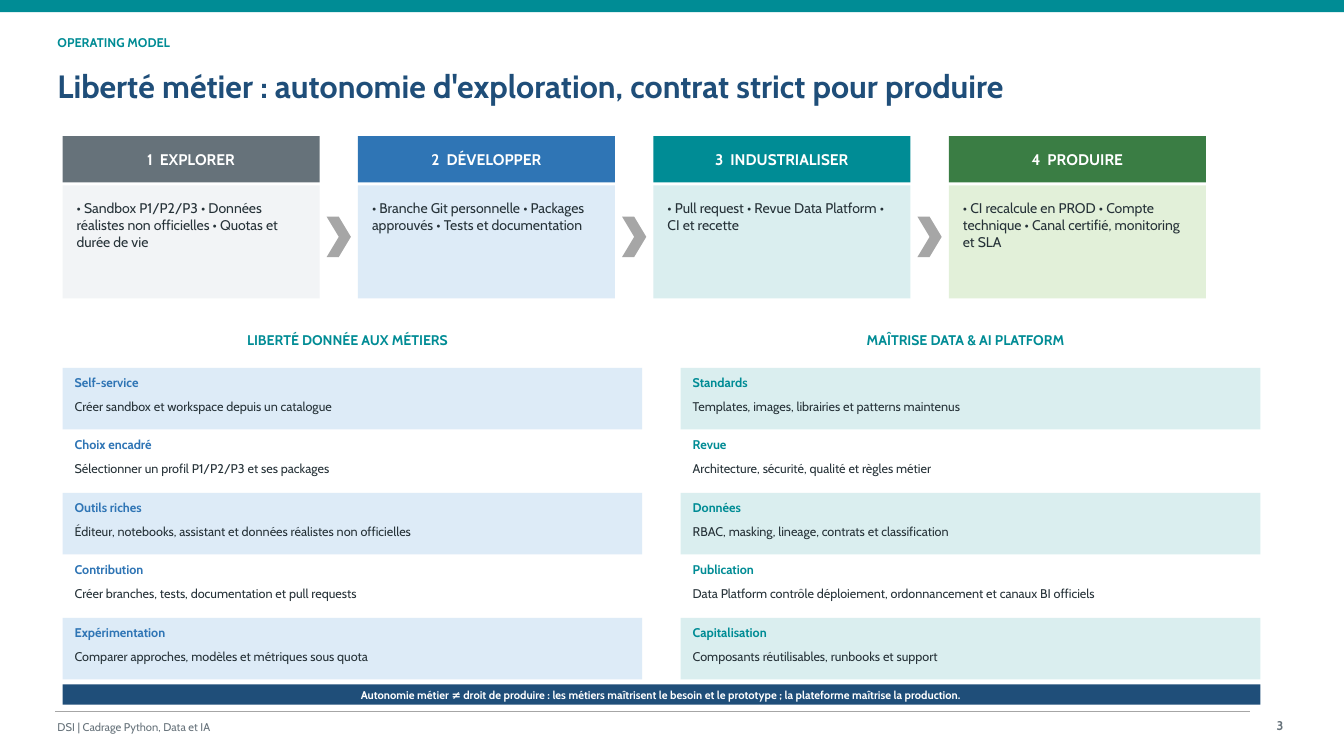
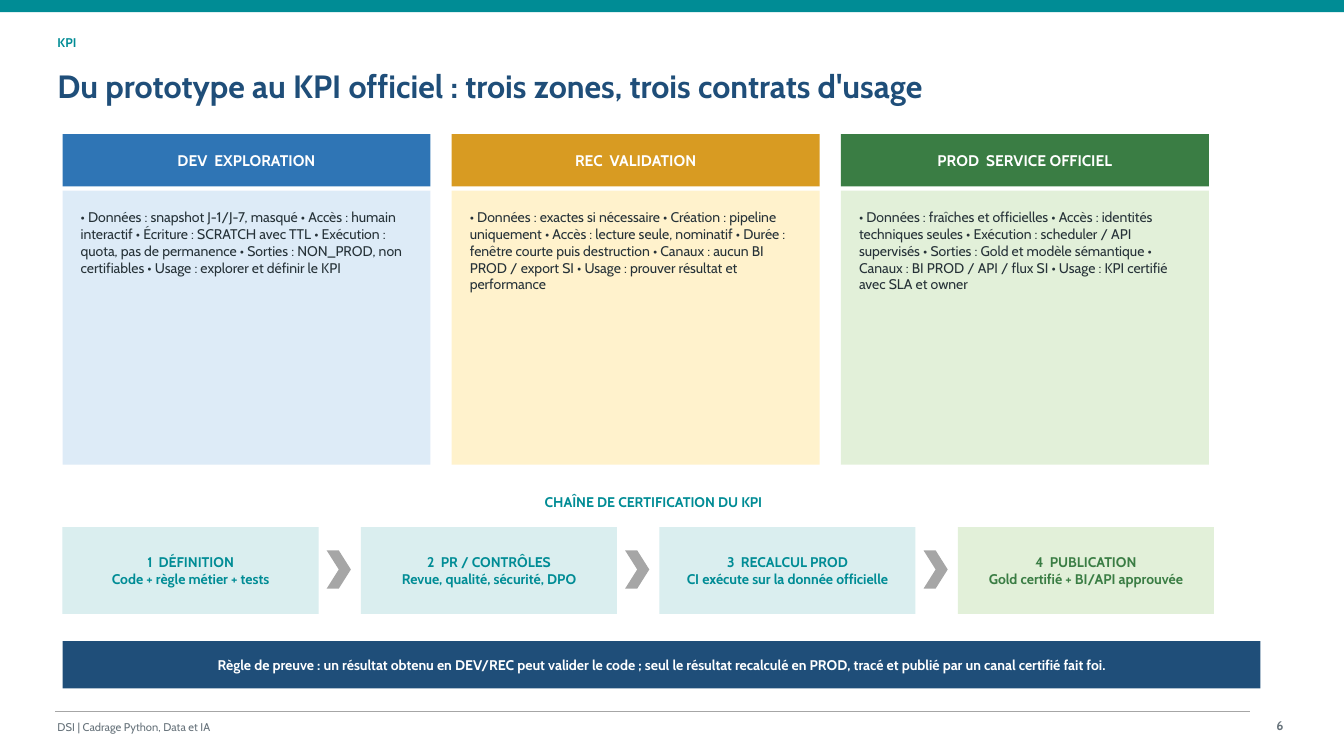
"""Build two slides on the operating model and the KPI certification chain."""
from lxml import etree
from pptx import Presentation
from pptx import util as u
from pptx.dml.color import RGBColor
from pptx.enum import shapes, text
from pptx.oxml.ns import qn

COLORS = {
    "teal": "008C95", "pale_teal": "DAEEEF",
    "blue": "2F75B5", "pale_blue": "DDEBF7",
    "green": "3A7D44", "pale_green": "E2F0D9",
    "amber": "D89B22", "pale_amber": "FFF2CC",
    "gray": "66727A", "pale_gray": "F2F4F6",
    "navy": "1F4E79", "ink": "263238", "line": "A6A6A6", "white": "FFFFFF",
}
FONT = "Cabin"
LEFT = 0.62
FULL_WIDTH = 11.88
RECTANGLE = shapes.MSO_SHAPE.RECTANGLE
CHEVRON = shapes.MSO_SHAPE.CHEVRON
LEFT_ALIGN, CENTER, RIGHT = text.PP_ALIGN.LEFT, text.PP_ALIGN.CENTER, text.PP_ALIGN.RIGHT
TOP, MIDDLE = text.MSO_ANCHOR.TOP, text.MSO_ANCHOR.MIDDLE


def add_box(slide, box, lines=(), size=10, color="ink", fill=None, preset=RECTANGLE,
            bold=False, align=LEFT_ALIGN, anchor=MIDDLE, inset=0.02):
    position = [u.Inches(length) for length in box]
    if fill:
        shape = slide.shapes.add_shape(preset, *position)
        shape.shadow.inherit = False
        shape.fill.solid()
        shape.fill.fore_color.rgb = RGBColor.from_string(COLORS[fill])
        shape.line.fill.background()
    else:
        shape = slide.shapes.add_textbox(*position)
    frame = shape.text_frame
    frame.word_wrap = True
    frame.vertical_anchor = anchor
    frame.margin_left = frame.margin_right = u.Inches(inset)
    frame.margin_top = frame.margin_bottom = u.Inches(inset)
    for index, line in enumerate(lines):
        paragraph = frame.add_paragraph() if index else frame.paragraphs[0]
        paragraph.text = line
        paragraph.alignment = align
        paragraph.font.name = FONT
        paragraph.font.size = u.Pt(size)
        paragraph.font.bold = bold
        paragraph.font.color.rgb = RGBColor.from_string(COLORS[color])


def start_slide(section, title, number):
    slide = presentation.slides.add_slide(presentation.slide_layouts[6])
    add_box(slide, (0, 0, 13.33, 0.12), fill="teal")
    add_box(slide, (0.55, 0.28, 2.2, 0.28), [section], 9, "teal", bold=True)
    add_box(slide, (0.55, 0.57, 12, 0.55), [title], 23, "navy", bold=True)
    rule = slide.shapes.add_connector(
        shapes.MSO_CONNECTOR.STRAIGHT,
        u.Inches(0.55), u.Inches(7.06), u.Inches(12.4), u.Inches(7.06))
    rule.line.color.rgb = RGBColor.from_string(COLORS["line"])
    rule.line.width = u.Pt(1)
    etree.SubElement(rule._element.spPr, qn("a:effectLst"))
    add_box(slide, (0.55, 7.12, 5.5, 0.18), ["DSI | Cadrage Python, Data et IA"], 8, "gray")
    add_box(slide, (12.25, 7.1, 0.5, 0.2), [number], 9, "gray", bold=True, align=RIGHT)
    return slide


presentation = Presentation()
presentation.slide_width = u.Inches(13.33)
presentation.slide_height = u.Inches(7.5)

slide = start_slide(
    "OPERATING MODEL",
    "Liberté métier : autonomie d'exploration, contrat strict pour produire", "3")

stages = [
    ("1  EXPLORER", "gray", "pale_gray",
     "• Sandbox P1/P2/P3 • Données réalistes non officielles • Quotas et durée de vie"),
    ("2  DÉVELOPPER", "blue", "pale_blue",
     "• Branche Git personnelle • Packages approuvés • Tests et documentation"),
    ("3  INDUSTRIALISER", "teal", "pale_teal",
     "• Pull request • Revue Data Platform • CI et recette"),
    ("4  PRODUIRE", "green", "pale_green",
     "• CI recalcule en PROD • Compte technique • Canal certifié, monitoring et SLA"),
]
for index, (heading, accent, tint, body) in enumerate(stages):
    left = LEFT + index * 2.93
    if index:
        add_box(slide, (left - 0.31, 2.15, 0.24, 0.4), fill="line", preset=CHEVRON)
    add_box(slide, (left, 1.35, 2.55, 0.46), [heading], 11, "white", accent,
            bold=True, align=CENTER, inset=0.12)
    add_box(slide, (left, 1.84, 2.55, 1.12), [body], fill=tint, anchor=TOP, inset=0.14)

responsibilities = [
    (LEFT, "LIBERTÉ DONNÉE AUX MÉTIERS", "blue", "pale_blue", [
        ("Self-service", "Créer sandbox et workspace depuis un catalogue"),
        ("Choix encadré", "Sélectionner un profil P1/P2/P3 et ses packages"),
        ("Outils riches", "Éditeur, notebooks, assistant et données réalistes non officielles"),
        ("Contribution", "Créer branches, tests, documentation et pull requests"),
        ("Expérimentation", "Comparer approches, modèles et métriques sous quota"),
    ]),
    (6.75, "MAÎTRISE DATA & AI PLATFORM", "teal", "pale_teal", [
        ("Standards", "Templates, images, librairies et patterns maintenus"),
        ("Revue", "Architecture, sécurité, qualité et règles métier"),
        ("Données", "RBAC, masking, lineage, contrats et classification"),
        ("Publication",
         "Data Platform contrôle déploiement, ordonnancement et canaux BI officiels"),
        ("Capitalisation", "Composants réutilisables, runbooks et support"),
    ]),
]
for left, heading, accent, tint, rows in responsibilities:
    add_box(slide, (left, 3.27, 5.65, 0.25), [heading], 10, "teal",
            bold=True, align=CENTER, anchor=TOP)
    for index, (label, detail) in enumerate(rows):
        top = 3.65 + index * 0.62
        add_box(slide, (left, top, 5.75, 0.61), fill="white" if index % 2 else tint)
        add_box(slide, (left + 0.1, top + 0.05, 5.55, 0.18), [label], 9, accent, bold=True)
        add_box(slide, (left + 0.1, top + 0.24, 5.55, 0.28), [detail], 9)

add_box(slide, (LEFT, 6.79, FULL_WIDTH, 0.2),
        ["Autonomie métier ≠ droit de produire : les métiers maîtrisent le besoin et le "
         "prototype ; la plateforme maîtrise la production."],
        8, "white", "navy", bold=True, align=CENTER, inset=0.12)

slide = start_slide(
    "KPI", "Du prototype au KPI officiel : trois zones, trois contrats d'usage", "6")

zones = [
    ("DEV  EXPLORATION", "blue", "pale_blue",
     "• Données : snapshot J-1/J-7, masqué • Accès : humain interactif • Écriture : SCRATCH "
     "avec TTL • Exécution : quota, pas de permanence • Sorties : NON_PROD, non certifiables "
     "• Usage : explorer et définir le KPI"),
    ("REC  VALIDATION", "amber", "pale_amber",
     "• Données : exactes si nécessaire • Création : pipeline uniquement • Accès : lecture "
     "seule, nominatif • Durée : fenêtre courte puis destruction • Canaux : aucun BI PROD / "
     "export SI • Usage : prouver résultat et performance"),
    ("PROD  SERVICE OFFICIEL", "green", "pale_green",
     "• Données : fraîches et officielles • Accès : identités techniques seules • Exécution : "
     "scheduler / API supervisés • Sorties : Gold et modèle sémantique • Canaux : BI PROD / "
     "API / flux SI • Usage : KPI certifié avec SLA et owner"),
]
for index, (heading, accent, tint, body) in enumerate(zones):
    left = LEFT + index * 3.86
    add_box(slide, (left, 1.33, 3.65, 0.52), [heading], 11, "white", accent,
            bold=True, align=CENTER, inset=0.12)
    add_box(slide, (left, 1.89, 3.65, 2.72), [body], fill=tint, anchor=TOP, inset=0.18)

add_box(slide, (LEFT, 4.88, 11.72, 0.24), ["CHAÎNE DE CERTIFICATION DU KPI"], 10, "teal",
        bold=True, align=CENTER, anchor=TOP)
certification_steps = [
    ("1  DÉFINITION", "Code + règle métier + tests", "teal", "pale_teal"),
    ("2  PR / CONTRÔLES", "Revue, qualité, sécurité, DPO", "teal", "pale_teal"),
    ("3  RECALCUL PROD", "CI exécute sur la donnée officielle", "teal", "pale_teal"),
    ("4  PUBLICATION", "Gold certifié + BI/API approuvée", "green", "pale_green"),
]
for index, (heading, detail, accent, tint) in enumerate(certification_steps):
    left = LEFT + index * 2.96
    if index:
        add_box(slide, (left - 0.34, 5.46, 0.24, 0.38), fill="line", preset=CHEVRON)
    add_box(slide, (left, 5.23, 2.54, 0.86), [heading, detail], 10, accent, tint,
            bold=True, align=CENTER, inset=0.12)

add_box(slide, (LEFT, 6.36, FULL_WIDTH, 0.47),
        ["Règle de preuve : un résultat obtenu en DEV/REC peut valider le code ; seul le "
         "résultat recalculé en PROD, tracé et publié par un canal certifié fait foi."],
        10, "white", "navy", bold=True, align=CENTER, inset=0.12)

presentation.save("out.pptx")
